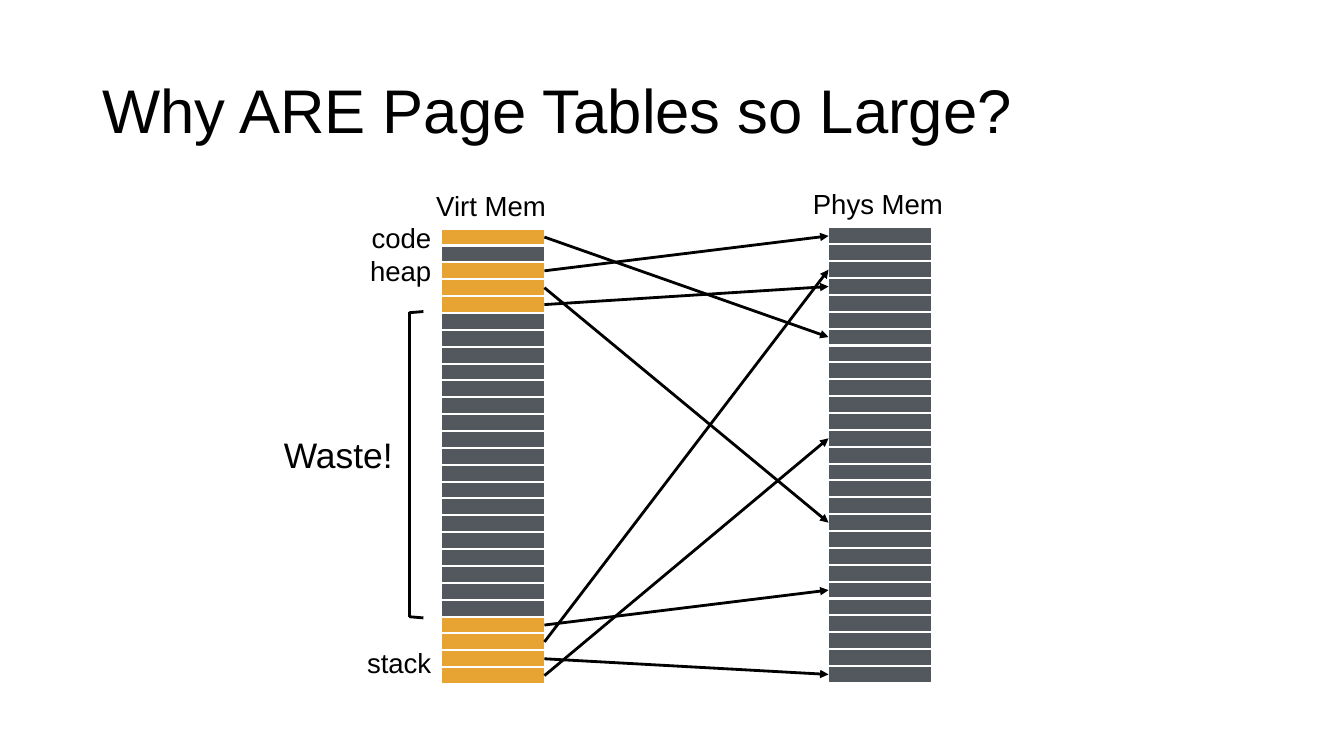
from pptx import Presentation
from pptx.dml.color import RGBColor
from pptx.enum.shapes import MSO_CONNECTOR, MSO_SHAPE
from pptx.enum.text import MSO_ANCHOR, PP_ALIGN
from pptx.oxml.ns import qn
from pptx.util import Cm, Pt
from lxml.etree import SubElement

COLORS = {"text": "000000", "used": "E8A433", "page": "53585F", "edge": "FFFFFF"}
FONT = "Arial"
ROWS, PITCH, PAGE_H = 27, 0.425, 0.41
PAGE_MAP = {0: 6, 2: 0, 3: 17, 4: 3, 23: 21, 24: 2, 25: 26, 26: 12}
SIDE_LABELS = {"code": 0, "heap": 2, "stack": 25.25}


def rgb(name):
    """Return the named colour."""
    return RGBColor.from_string(COLORS[name])


def add_run(p, text, size):
    """Add one formatted run to a paragraph."""
    r = p.add_run()
    r.text = text
    r.font.name = FONT
    r.font.size = Pt(size)
    r.font.color.rgb = rgb("text")


def add_label(s, box, text, size=19.7, align=PP_ALIGN.CENTER):
    """Place a one-line label in a box."""
    tf = s.shapes.add_textbox(*map(Cm, box)).text_frame
    tf.word_wrap = False
    tf.vertical_anchor = MSO_ANCHOR.MIDDLE
    tf.margin_left = tf.margin_right = tf.margin_top = tf.margin_bottom = Cm(0.1)
    p = tf.paragraphs[0]
    p.alignment = align
    add_run(p, text, size)


def add_line(s, x1, y1, x2, y2):
    """Draw a plain black line."""
    line = s.shapes.add_connector(MSO_CONNECTOR.STRAIGHT, Cm(x1), Cm(y1), Cm(x2), Cm(y2))
    line.line.color.rgb = rgb("text")
    line.line.width = Pt(2)
    SubElement(line._element.spPr, qn("a:effectLst"))
    return line


def add_title(s, box, text):
    """Move and fill the title placeholder."""
    sp = s.shapes.title
    sp.left, sp.top, sp.width, sp.height = map(Cm, box)
    tf = sp.text_frame
    tf.vertical_anchor = MSO_ANCHOR.MIDDLE
    p = tf.paragraphs[0]
    p.alignment = PP_ALIGN.LEFT
    p.line_spacing = 0.9
    add_run(p, text, 44)


def add_memory(s, box, heading, used=()):
    """Stack the pages of one memory under its heading and return them."""
    x, y, w = box
    pages = []
    for row in range(ROWS):
        sp = s.shapes.add_shape(
            MSO_SHAPE.RECTANGLE, Cm(x), Cm(y + row * PITCH), Cm(w), Cm(PAGE_H))
        sp.shadow.inherit = False
        sp.fill.solid()
        sp.fill.fore_color.rgb = rgb("used" if row in used else "page")
        sp.line.color.rgb = rgb("edge")
        sp.line.width = Pt(1)
        pages.append(sp)
    add_label(s, (x - 0.5, y - 1.12, w + 0.9, 1.04), heading)
    return pages


def add_side_labels(s, box):
    """Name the used areas, right-aligned beside their rows."""
    x, y, w = box
    for text, row in SIDE_LABELS.items():
        middle = y + row * PITCH + PAGE_H / 2
        add_label(s, (x, middle - 0.52, w, 1.04), text, align=PP_ALIGN.RIGHT)


def add_mappings(s, virtual, physical):
    """Join each used virtual page to its physical page."""
    for source, target in PAGE_MAP.items():
        arrow = add_line(s, 0, 0, 1, 1)
        arrow.begin_connect(virtual[source], 3)
        arrow.end_connect(physical[target], 1)
        SubElement(arrow.line._get_or_add_ln(), qn("a:tailEnd"), type="triangle")


def add_waste(s, box):
    """Bracket the unused pages and label them."""
    x, y, w, h = box
    spine, right = x + w - 0.36, x + w
    add_label(s, (x, y + 2.97, 2.97, 1.27), "Waste!", 25.3)
    add_line(s, spine, y + h - 0.03, spine, y)
    add_line(s, right, y, spine, y + 0.03)
    add_line(s, right, y + h, spine, y + h - 0.03)


def main():
    """Build and save the slide."""
    prs = Presentation()
    prs.slide_width, prs.slide_height = Cm(33.87), Cm(19.05)
    s = prs.slides.add_slide(prs.slide_layouts[5])
    add_title(s, (2.33, 1.01, 29.21, 3.68), "Why ARE Page Tables so Large?")
    virtual = add_memory(s, (11.13, 5.77, 2.59), "Virt Mem", PAGE_MAP)
    physical = add_memory(s, (20.88, 5.74, 2.59), "Phys Mem")
    add_side_labels(s, (9.12, 5.77, 1.85))
    add_mappings(s, virtual, physical)
    add_waste(s, (7.04, 7.85, 3.63, 7.72))
    prs.save("out.pptx")


if __name__ == "__main__":
    main()
